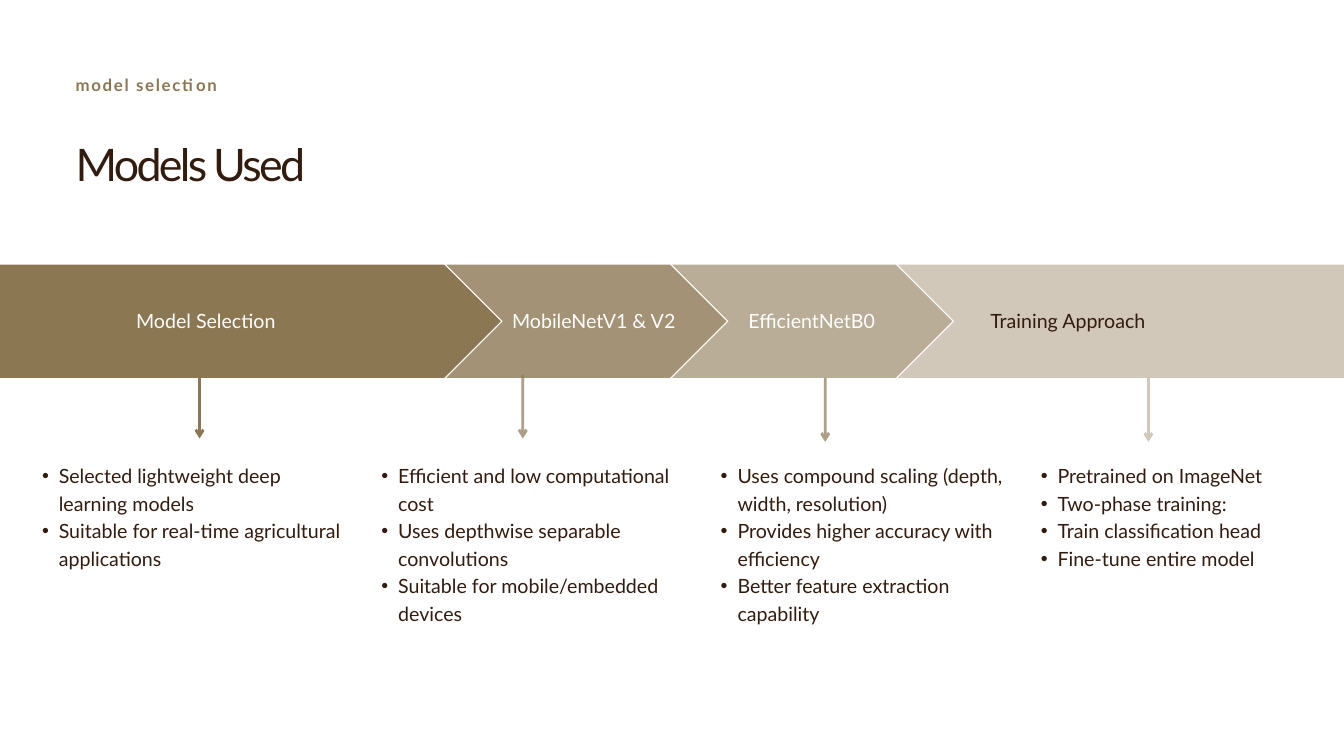
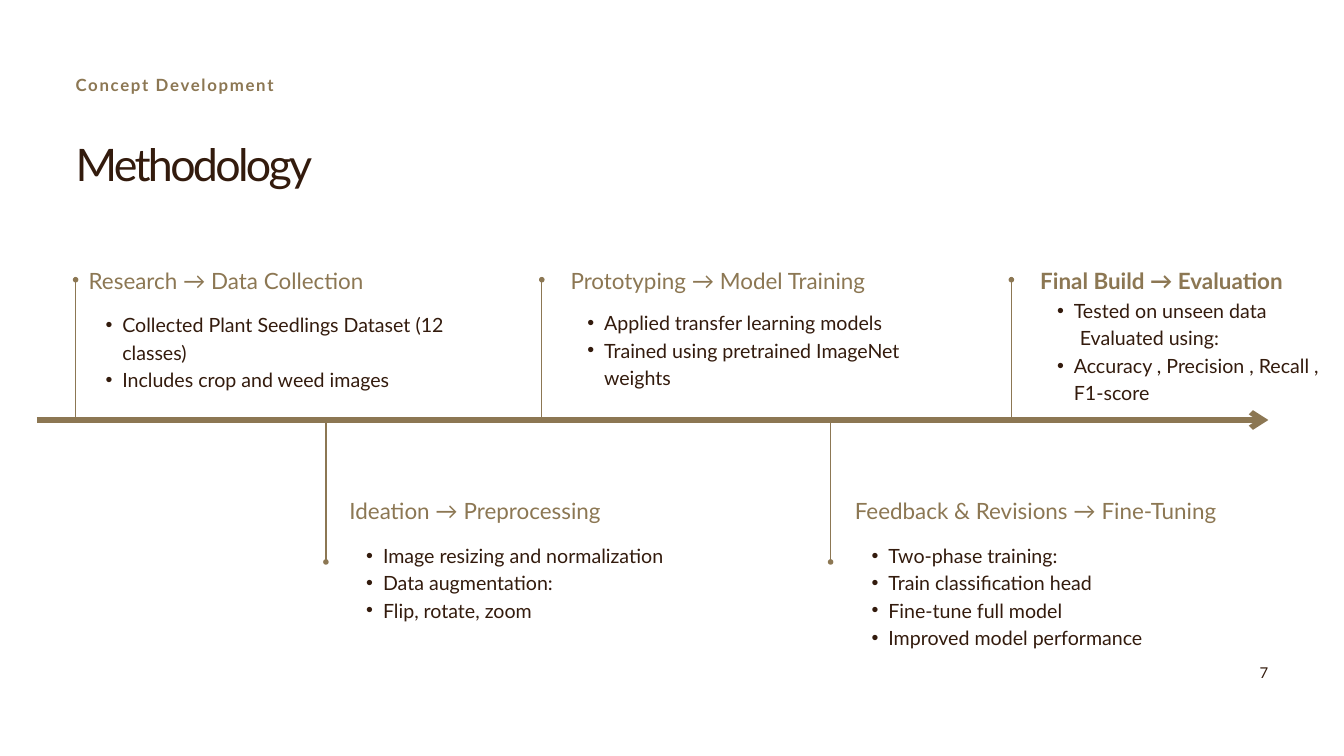
"""Build two slides: the models used and the method timeline."""
from lxml import etree
from pptx import Presentation
from pptx.dml.color import RGBColor
from pptx.enum.shapes import MSO_CONNECTOR
from pptx.enum.text import MSO_ANCHOR, MSO_AUTO_SIZE, PP_ALIGN
from pptx.oxml.ns import qn
from pptx.util import Inches, Pt

TOP = MSO_ANCHOR.TOP
FIXED = MSO_AUTO_SIZE.NONE
LEFT, RIGHT, JUST = PP_ALIGN.LEFT, PP_ALIGN.RIGHT, PP_ALIGN.JUSTIFY
STRAIGHT = MSO_CONNECTOR.STRAIGHT

GOLD = RGBColor(0x8C, 0x77, 0x53)
DARK = RGBColor(0x33, 0x1B, 0x0D)
WHITE = RGBColor(0xFF, 0xFF, 0xFF)

COLS, ROWS = 160, 90
FRAME = {"margin_left": 0, "margin_right": 0, "margin_top": 0, "margin_bottom": 0,
         "word_wrap": True, "auto_size": FIXED, "vertical_anchor": TOP}
STYLES = {
    "title": {"size": 48, "lead": 48, "color": DARK, "track": -290},
    "kicker": {"size": 18, "lead": 18, "color": GOLD, "bold": True,
               "track": 180, "align": JUST},
    "head": {"size": 24, "lead": 33.6, "color": GOLD},
    "strong": {"size": 24, "lead": 33.6, "color": GOLD, "bold": True},
    "body": {"size": 21, "lead": 29.4, "color": DARK},
    "light": {"size": 21, "lead": 29.4, "color": WHITE},
    "page": {"size": 16, "lead": 22.4, "color": DARK, "align": RIGHT},
}


def put(item, values):
    """Set each named value on the item."""
    for name, value in values.items():
        setattr(item, name, value)


def fade(fill, share):
    """Give a solid fill element an opacity in percent."""
    if share < 100:
        tone = fill.find(".//" + qn("a:srgbClr"))
        etree.SubElement(tone, qn("a:alpha"), val=str(share * 1000))


class Deck:
    """Hold the style, the grid and the current slide."""

    def __init__(self):
        """Start an empty wide deck."""
        self.show = Presentation()
        put(self.show, {"slide_width": Inches(20), "slide_height": Inches(11.25)})
        self.slide = None
        self.slots = []

    def x(self, col):
        """Turn columns into a length."""
        return int(self.show.slide_width * col / COLS)

    def y(self, row):
        """Turn rows into a length."""
        return int(self.show.slide_height * row / ROWS)

    def place(self, shape, col, row, wide, high):
        """Set a shape on the grid."""
        put(shape, {"left": self.x(col), "top": self.y(row),
                    "width": self.x(wide), "height": self.y(high)})

    def page(self, title, kicker):
        """Add a slide with its title and kicker."""
        self.slide = self.show.slides.add_slide(self.show.slide_layouts[4])
        self.slots = [p for p in self.slide.placeholders
                      if p.placeholder_format.idx > 0]
        head = self.slide.shapes.title
        self.place(head, 9, 17.4, 71, 5.6)
        self.words(head, [title], "title")
        self.label(kicker, 9, 9.3, 64, 2.2, "kicker")

    def words(self, shape, lines, name):
        """Fill a shape with styled paragraphs."""
        style = STYLES[name]
        frame = shape.text_frame
        put(frame, FRAME)
        for i, line in enumerate(lines):
            para = frame.add_paragraph() if i else frame.paragraphs[0]
            put(para, {"alignment": style.get("align", LEFT), "space_before": Pt(0),
                       "space_after": Pt(0), "line_spacing": Pt(style["lead"])})
            run = para.add_run()
            run.text = line
            put(run.font, {"name": "Lato", "size": Pt(style["size"]),
                           "bold": style.get("bold", False)})
            run.font.color.rgb = style["color"]
            if "track" in style:
                run._r.get_or_add_rPr().set("spc", str(style["track"]))
        return frame.paragraphs

    def label(self, text, col, row, wide, high, name):
        """Add a line of text."""
        box = self.slide.shapes.add_textbox(0, 0, 0, 0)
        self.place(box, col, row, wide, high)
        self.words(box, [text], name)

    def items(self, lines, col, row, wide, high, plain=()):
        """Add a list, in a body placeholder while one is free."""
        box = (self.slots.pop(0) if self.slots
               else self.slide.shapes.add_textbox(0, 0, 0, 0))
        self.place(box, col, row, wide, high)
        for i, para in enumerate(self.words(box, lines, "body")):
            props = para._p.get_or_add_pPr()
            bare = i in plain
            props.set("marL", str(Inches(0.59 if bare else 0.5)))
            props.set("indent", str(Inches(0 if bare else -0.25)))
            if bare:
                etree.SubElement(props, qn("a:buNone"))
            else:
                etree.SubElement(props, qn("a:buFont"), typeface="Arial")
                etree.SubElement(props, qn("a:buChar"), char="•")

    def band(self, points, share):
        """Draw a filled outline through grid points."""
        spots = [(self.x(c), self.y(r)) for c, r in points]
        pen = self.slide.shapes.build_freeform(*spots[0])
        pen.add_line_segments(spots[1:], close=True)
        shape = pen.convert_to_shape()
        shape.shadow.inherit = False
        shape.fill.solid()
        shape.fill.fore_color.rgb = GOLD
        shape.line.fill.background()
        fade(shape._element.spPr.find(qn("a:solidFill")), share)

    def line(self, start, end, width, share=100, **ends):
        """Draw a straight line with the named ends."""
        link = self.slide.shapes.add_connector(
            STRAIGHT, self.x(start[0]), self.y(start[1]), self.x(end[0]), self.y(end[1]))
        link.line.width = Pt(width)
        link.line.color.rgb = GOLD
        props = link._element.spPr
        stroke = props.find(qn("a:ln"))
        fade(stroke, share)
        for name, kind in ends.items():
            etree.SubElement(stroke, qn(f"a:{name}End"), type=kind)
        etree.SubElement(props, qn("a:effectLst"))


MODELS = [
    ("Model Selection", "light", 16.2, 3, (23.76, 44.6), 100,
     ["Selected lightweight deep learning models",
      "Suitable for real-time agricultural applications"]),
    ("MobileNetV1 & V2", "light", 60.96, 43.4, (62.24, 44.6), 70,
     ["Efficient and low computational cost",
      "Uses depthwise separable convolutions",
      "Suitable for mobile/embedded devices"]),
    ("EfficientNetB0", "light", 89.1, 83.8, (98.24, 45), 70,
     ["Uses compound scaling (depth, width, resolution)",
      "Provides higher accuracy with efficiency",
      "Better feature extraction capability"]),
    ("Training Approach", "body", 117.9, 121.9, (136.72, 45), 40,
     ["Pretrained on ImageNet", "Two-phase training:",
      "Train classification head", "Fine-tune entire model"]),
]

STEPS = [
    ("Research → Data Collection", "head", 9, 10.56, 36.8, 45,
     ["Collected Plant Seedlings Dataset (12 classes)",
      "Includes crop and weed images"]),
    ("Ideation → Preprocessing", "head", 38.8, 41.6, 64.24, 46,
     ["Image resizing and normalization", "Data augmentation:",
      "Flip, rotate, zoom"]),
    ("Prototyping → Model Training", "head", 64.5, 67.92, 36.56, 43.6,
     ["Applied transfer learning models",
      "Trained using pretrained ImageNet weights"]),
    ("Feedback & Revisions → Fine-Tuning", "head", 98.88, 101.76, 64.24, 46,
     ["Two-phase training:", "Train classification head",
      "Fine-tune full model", "Improved model performance"]),
    ("Final Build → Evaluation", "strong", 120.4, 123.84, 35.12, 35.1,
     ["Tested on unseen data", "Evaluated using:",
      "Accuracy , Precision , Recall , F1-score"]),
]


def models(deck):
    """Build the slide of chevrons, arrows and lists."""
    deck.page("Models Used", "model selection")
    top, mid, low = 31.5, 38.25, 45
    step, tip, gap, first = 26.88, 6.75, 0.24, 53.12
    last = len(MODELS) - 1
    for i, (name, style, col, edge, start, share, lines) in enumerate(MODELS):
        left = first + step * (i - 1) if i else 0
        right = first + step * i - gap if i < last else COLS
        points = [(left, top), (right, top)]
        if i < last:
            points.append((right + tip, mid))
        points += [(right, low), (left, low)]
        if i:
            points.append((left + tip, mid))
        deck.band(points, 100 - 20 * i)
        deck.label(name, col, 36.3, 24.5, 3.2, style)
        deck.line(start, (start[0], start[1] + 7.6), 3, share, tail="arrow")
        deck.items(lines, edge, 54.8, 38.08, 22.7)


def method(deck):
    """Build the timeline slide."""
    deck.page("Methodology", "Concept Development")
    deck.line((4.4, 50), (151, 50), 6, tail="arrow")
    for i, (name, style, stem, col, row, wide, lines) in enumerate(STEPS):
        below = i % 2
        deck.line((stem, 50), (stem, 66.9 if below else 33.3), 1.5, tail="oval")
        deck.label(name, col, 58.7 if below else 31.3, 47.6 if below else 36,
                   3.5, style)
        deck.items(lines, col, row, wide, 16.2, plain=(1,) if i == 4 else ())
    deck.label("7", 111.1, 78.6, 39.9, 2.4, "page")


def main():
    """Build and save the deck."""
    deck = Deck()
    models(deck)
    method(deck)
    deck.show.save("out.pptx")


if __name__ == "__main__":
    main()
